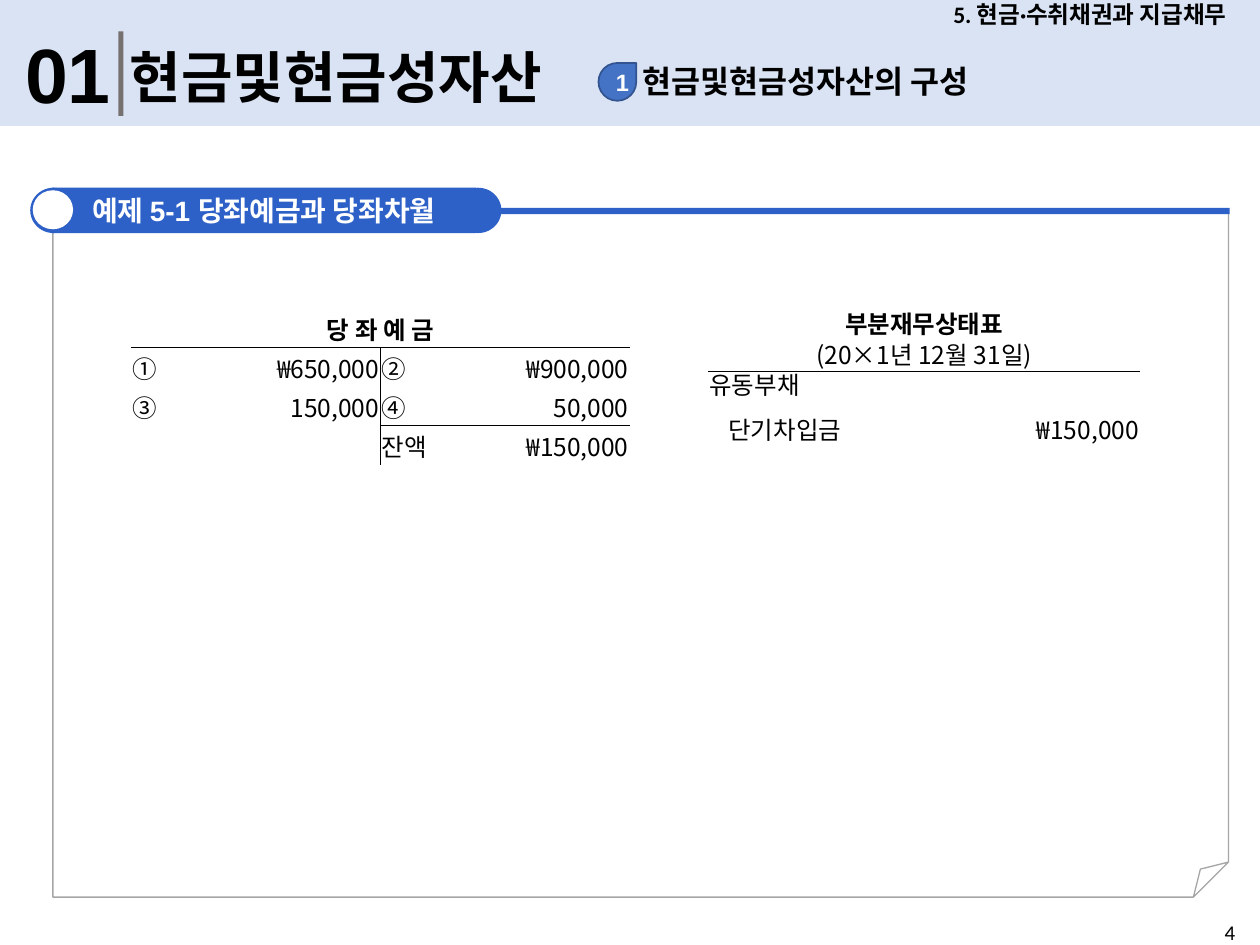
import pptx
import pptx.dml.color
import pptx.enum.shapes
import pptx.enum.text
import pptx.oxml
import pptx.oxml.ns
import pptx.util
from pptx.util import Inches

SHAPE = pptx.enum.shapes.MSO_SHAPE
ALIGN = pptx.enum.text.PP_ALIGN
ANCHOR = pptx.enum.text.MSO_ANCHOR
KOREAN = "Noto Sans CJK KR"
BLACK, WHITE, BLUE = "000000", "FFFFFF", "2D61C8"


def colour(value):
    """Turn a hex string into a colour."""
    return pptx.dml.color.RGBColor.from_string(value)


def add_span(para, text, size, font="Calibri", ink=BLACK, bold=True):
    """Add one formatted run to a paragraph."""
    span = para.add_run()
    span.text = text
    span.font.size = pptx.util.Pt(size)
    span.font.name = font
    span.font.bold = bold
    span.font.color.rgb = colour(ink)
    east = pptx.oxml.parse_xml(f'<a:ea {pptx.oxml.ns.nsdecls("a")} typeface="{KOREAN}"/>')
    span.font._element.find(pptx.oxml.ns.qn("a:latin")).addnext(east)


def add_block(page, kind, left, top, width, height, fill=None, line=None, weight=1):
    """Add a preset shape with a plain fill and outline."""
    block = page.shapes.add_shape(kind, Inches(left), Inches(top), Inches(width), Inches(height))
    block.shadow.inherit = False
    if fill:
        block.fill.solid()
        block.fill.fore_color.rgb = colour(fill)
    else:
        block.fill.background()
    if line:
        block.line.color.rgb = colour(line)
        block.line.width = pptx.util.Pt(weight)
    else:
        block.line.fill.background()
    return block


def add_label(page, left, top, width, height, text, size, font="Calibri", bold=True,
              align=ALIGN.LEFT, anchor=ANCHOR.TOP):
    """Add a one-line text box."""
    box = page.shapes.add_textbox(Inches(left), Inches(top), Inches(width), Inches(height))
    box.text_frame.word_wrap = True
    box.text_frame.vertical_anchor = anchor
    para = box.text_frame.paragraphs[0]
    para.alignment = align
    add_span(para, text, size, font, bold=bold)
    return box


def add_header(page, left, top, width, height):
    """Build the band with the chapter, section number, title and topic."""
    band = add_block(page, SHAPE.RECTANGLE, left, top, width, height, "DAE3F3")
    title = page.shapes.title
    band._element.addnext(title._element)
    title.left, title.top = Inches(left + 0.93), Inches(top + 0.29)
    title.width, title.height = Inches(4.02), Inches(0.64)
    frame = title.text_frame
    frame.auto_size = pptx.enum.text.MSO_AUTO_SIZE.NONE
    frame.vertical_anchor = ANCHOR.TOP
    frame.paragraphs[0].alignment = ALIGN.LEFT
    add_span(frame.paragraphs[0], "현금및현금성자산", 32)

    add_label(page, left + width - 2.7, top, 2.7, 0.23, "5. 현금·수취채권과 지급채무", 13.5,
              align=ALIGN.CENTER, anchor=ANCHOR.MIDDLE)
    add_label(page, left + 0.1, top + 0.16, 0.91, 0.84, "01", 44, "Arial")
    add_block(page, SHAPE.RECTANGLE, left + 0.94, top + 0.25, 0.04, 0.67, "767171")
    add_label(page, left + 5, top + 0.44, 3.09, 0.4, "현금및현금성자산의 구성", 18)
    badge = add_block(page, SHAPE.TEAR, left + 4.75, top + 0.5, 0.3, 0.3, "4472C4", "325491")
    frame = badge.text_frame
    frame.word_wrap = False
    frame.margin_left = Inches(0.08)
    frame.margin_right = frame.margin_top = frame.margin_bottom = 0
    frame.vertical_anchor = ANCHOR.MIDDLE
    frame.paragraphs[0].alignment = ALIGN.CENTER
    add_span(frame.paragraphs[0], "1", 13.5, "Arial", WHITE)


def add_example_frame(page, left, top, width, height):
    """Build the folded sheet with its heading pill and bar."""
    sheet = add_block(page, SHAPE.FOLDED_CORNER, left, top, width, height, line="A6A6A6", weight=0.75)
    fold = pptx.oxml.parse_xml(f'<a:gd {pptx.oxml.ns.nsdecls("a")} name="adj" fmla="val 5100"/>')
    sheet._element.spPr.find(pptx.oxml.ns.qn("a:prstGeom")).get_or_add_avLst().append(fold)
    add_block(page, SHAPE.RECTANGLE, left + 0.01, top - 0.02, width, 0.05, BLUE)
    for offset in (-0.18, 3.19):
        add_block(page, SHAPE.OVAL, left + offset, top - 0.18, 0.37, 0.36, BLUE)
    heading = add_block(page, SHAPE.RECTANGLE, left - 0.01, top - 0.18, 3.37, 0.36, BLUE)
    heading.text_frame.vertical_anchor = ANCHOR.MIDDLE
    para = heading.text_frame.paragraphs[0]
    para.alignment = ALIGN.CENTER
    for text, font in (("예제 ", "Calibri"), ("5-1 ", "Arial"), ("당좌예금과 당좌차월", "Calibri")):
        add_span(para, text, 16, font, WHITE)
    add_block(page, SHAPE.OVAL, left - 0.16, top - 0.16, 0.32, 0.31, WHITE)


def set_borders(cell, sides):
    """Draw the named sides of a cell and clear the others."""
    props = cell._tc.get_or_add_tcPr()
    for place, side in enumerate("LRTB"):
        paint = f'<a:solidFill><a:srgbClr val="{BLACK}"/></a:solidFill>' if side in sides else "<a:noFill/>"
        props.insert(place, pptx.oxml.parse_xml(
            f'<a:ln{side} {pptx.oxml.ns.nsdecls("a")} w="6350">{paint}</a:ln{side}>'))


def add_ledger(page, left, top, columns, heights, rows, headings, across, down=(), indents=(), leading=None):
    """Add a table ruled along the given (row, column) grid edges."""
    grid = page.shapes.add_table(len(heights), len(columns), Inches(left), Inches(top),
                                 Inches(sum(columns)), Inches(sum(heights))).table
    grid.first_row = grid.horz_banding = False
    for column, width in zip(grid.columns, columns):
        column.width = Inches(width)
    for row, height in zip(grid.rows, heights):
        row.height = Inches(height)
    for r, texts in enumerate(rows):
        for c, text in enumerate(texts):
            cell = grid.cell(r, c)
            cell.fill.background()
            edges = {"L": (r, c) in down, "R": (r, c + 1) in down,
                     "T": (r, c) in across, "B": (r + 1, c) in across}
            set_borders(cell, [side for side, drawn in edges.items() if drawn])
            cell.vertical_anchor = ANCHOR.MIDDLE
            cell.margin_left = Inches(0.16 if (r, c) in indents else 0.01)
            cell.margin_right = cell.margin_top = Inches(0.01)
            cell.margin_bottom = 0
            para = cell.text_frame.paragraphs[0]
            if leading:
                para.line_spacing = pptx.util.Pt(leading)
            if not text:
                para.font.size = pptx.util.Pt(10)
                continue
            if r < headings:
                para.alignment = ALIGN.CENTER
            elif text.endswith("000"):
                para.alignment = ALIGN.RIGHT
            add_span(para, text, 14, KOREAN, bold=r == 0)
    for r in range(headings):
        grid.cell(r, 0).merge(grid.cell(r, len(columns) - 1))


def build_slide(deck):
    """Build the checking account example."""
    page = deck.slides.add_slide(deck.slide_layouts[5])
    add_header(page, 0, 0, 10, 1)
    add_example_frame(page, 0.42, 1.67, 9.33, 5.45)
    account = [["당 좌 예 금", "", "", ""],
               ["①", "₩650,000", "②", "₩900,000"],
               ["③", "150,000", "④", "50,000"],
               ["", "", "잔액", "₩150,000"]]
    add_ledger(page, 1.04, 2.45, [0.99] * 4, [0.31] * 4, account, 1,
               across=[(1, c) for c in range(4)] + [(3, 2), (3, 3)],
               down=[(r, 2) for r in range(1, 4)])
    statement = [["부분재무상태표", "", ""],
                 ["(20×1년 12월 31일)", "", ""],
                 ["유동부채", "", ""],
                 ["단기차입금", "", "₩150,000"]]
    add_ledger(page, 5.62, 2.47, [1.59, 0.92, 0.92], [0.24, 0.24, 0.24, 0.48], statement, 2,
               across=[(2, c) for c in range(3)], indents=[(3, 0)], leading=16)
    add_label(page, 9.62, 7.25, 0.38, 0.25, "4", 12, bold=False)


def main():
    """Create and save the deck."""
    deck = pptx.Presentation()
    deck.slide_width, deck.slide_height = Inches(10), Inches(7.5)
    build_slide(deck)
    deck.save("out.pptx")


if __name__ == "__main__":
    main()
